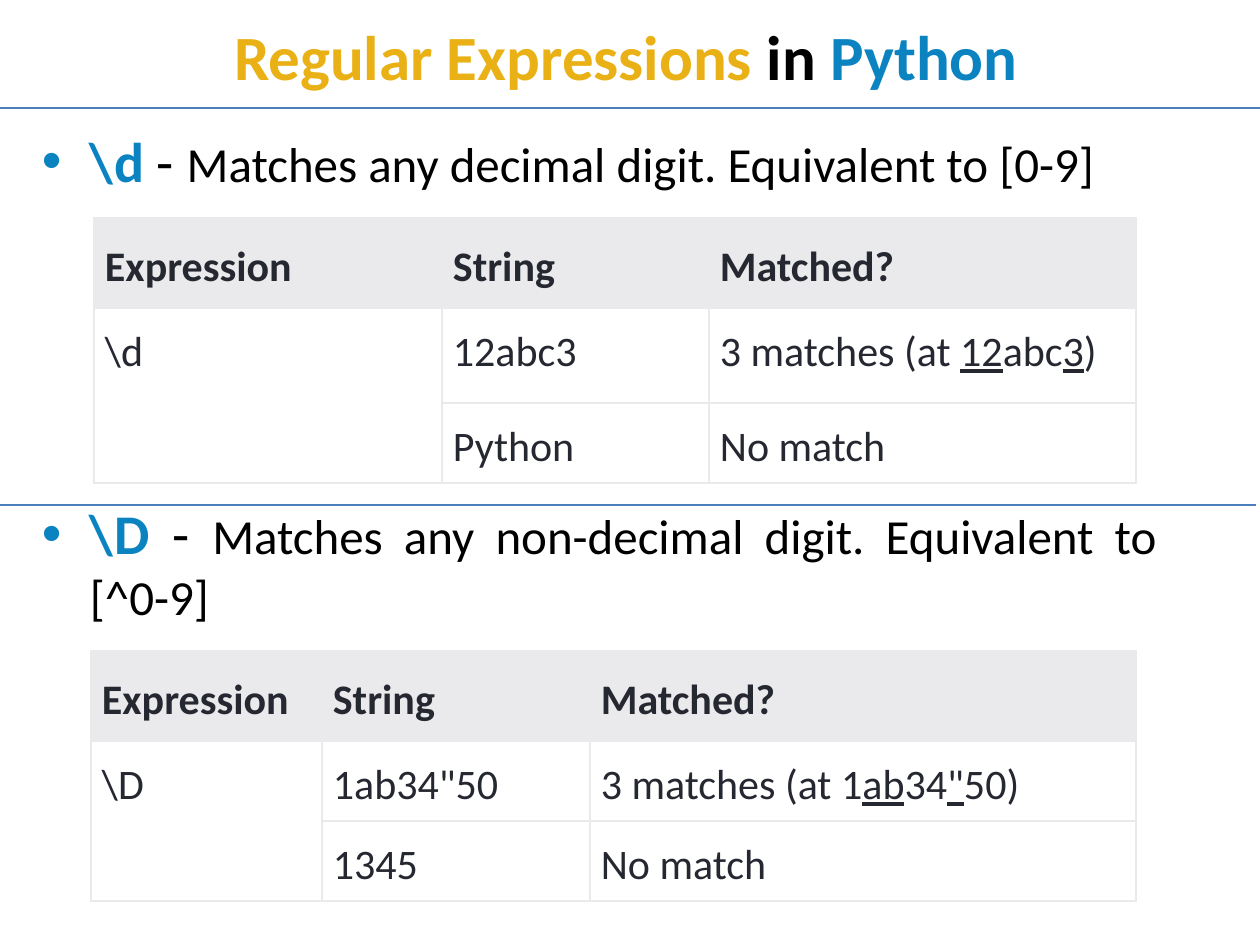
import pptx
import pptx.util
import pptx.dml.color
import pptx.enum.text
import pptx.enum.shapes
import pptx.oxml
import pptx.oxml.ns

PX = 914400 / 126
HUES = {"gold": "E9B115", "blue": "0A83C0", "black": "000000", "ink": "252830",
        "grid": "EAEAEC", "white": "FFFFFF", "rule": "4B7EBC"}
ALIGN = pptx.enum.text.PP_ALIGN
ANCHOR = pptx.enum.text.MSO_ANCHOR
NS = 'xmlns:a="http://schemas.openxmlformats.org/drawingml/2006/main"'


def px(*nums):
    return [pptx.util.Emu(round(n * PX)) for n in nums]


def write(frame, runs, size=24, hue="ink", bold=False, align=ALIGN.LEFT,
          anchor=ANCHOR.TOP, pads=(0, 0, 0, 0), space=None):
    frame.word_wrap = True
    frame.vertical_anchor = anchor
    (frame.margin_left, frame.margin_top,
     frame.margin_right, frame.margin_bottom) = px(*pads)
    para = frame.paragraphs[0]
    para.alignment = align
    if space:
        para.line_spacing = space
    for text, look in runs:
        run = para.add_run()
        run.text = text
        font = run.font
        font.name = "Calibri"
        font.size = pptx.util.Pt(look.get("size", size))
        font.bold = look.get("bold", bold)
        font.underline = look.get("line", False)
        font.color.rgb = pptx.dml.color.RGBColor.from_string(HUES[look.get("hue", hue)])
    return para


deck = pptx.Presentation()
deck.slide_width, deck.slide_height = px(1260, 945)
slide = deck.slides.add_slide(deck.slide_layouts[6])
shapes = slide.shapes

title = shapes.add_textbox(*px(59, 0, 1134, 110))
write(title.text_frame,
      [("Regular Expressions ", {"hue": "gold"}), ("in ", {"hue": "black"}),
       ("Python", {"hue": "blue"})],
      size=36, bold=True, align=ALIGN.CENTER, anchor=ANCHOR.MIDDLE)

key = {"size": 32, "hue": "blue", "bold": True}
dash = {"size": 32}
points = [
    (126, 70, ALIGN.LEFT, [("\\d ", key), ("- ", dash),
     ("Matches any decimal digit. Equivalent to [0-9]", {})]),
    (499, 130, ALIGN.JUSTIFY, [("\\D", key), (" - ", dash),
     ("Matches any non-decimal digit. Equivalent to  [^0-9]", {})]),
]
for top, high, align, runs in points:
    box = shapes.add_textbox(*px(42, top, 1136, high))
    para = write(box.text_frame, runs, size=28, hue="black", align=align)
    props = para._p.get_or_add_pPr()
    indent = px(48)[0]
    props.set("marL", str(indent))
    props.set("indent", str(-indent))
    for xml in (f'<a:buFont {NS} typeface="Arial"/>', f'<a:buChar {NS} char="•"/>'):
        props.append(pptx.oxml.parse_xml(xml))

for left, top in ((0, 108), (-4, 505)):
    rule = shapes.add_connector(pptx.enum.shapes.MSO_CONNECTOR.STRAIGHT,
                                *px(left, top, left + 1260, top))
    rule.line.color.rgb = pptx.dml.color.RGBColor.from_string(HUES["rule"])
    rule.line.width = pptx.util.Pt(0.75)
    rule._element.spPr.append(pptx.oxml.parse_xml(f"<a:effectLst {NS}/>"))

under = {"line": True}
head = ["Expression", "String", "Matched?"]
grids = [
    (94, 218, (348, 267, 427), (90, 95, 80), [
        head,
        ["\\d", "12abc3", [("3 matches (at ", {}), ("12", under), ("abc", {}),
                           ("3", under), (")", {})]],
        ["", "Python", "No match"]]),
    (91, 651, (231, 268, 546), (90, 80, 80), [
        head,
        ["\\D", '1ab34"50', [("3 matches (at 1", {}), ("ab", under), ("34", {}),
                             ('"', under), ("50)", {})]],
        ["", "1345", "No match"]]),
]
for left, top, wides, highs, rows in grids:
    table = shapes.add_table(3, 3, *px(left, top, sum(wides), sum(highs))).table
    for col, wide in zip(table.columns, px(*wides)):
        col.width = wide
    for row, high in zip(table.rows, px(*highs)):
        row.height = high
    table.cell(1, 0).merge(table.cell(2, 0))
    for r, row in enumerate(rows):
        for c, text in enumerate(row):
            cell = table.cell(r, c)
            props = cell._tc.get_or_add_tcPr()
            for side in ("lnL", "lnR", "lnT", "lnB"):
                props.append(pptx.oxml.parse_xml(
                    f'<a:{side} {NS} w="12700"><a:solidFill>'
                    f'<a:srgbClr val="{HUES["grid"]}"/></a:solidFill></a:{side}>'))
            cell.fill.solid()
            cell.fill.fore_color.rgb = pptx.dml.color.RGBColor.from_string(
                HUES["white" if r else "grid"])
            if not text:
                continue
            runs = [(text, {})] if isinstance(text, str) else text
            frame = cell.text_frame
            pads = (11, 11, 9, 10) if r else (11, 16, 9, 15)
            write(frame, runs, bold=r == 0, space=1.15)
            cell.margin_left, cell.margin_top, cell.margin_right, cell.margin_bottom = px(*pads)
            cell.vertical_anchor = ANCHOR.TOP if r else ANCHOR.BOTTOM

deck.save("out.pptx")
